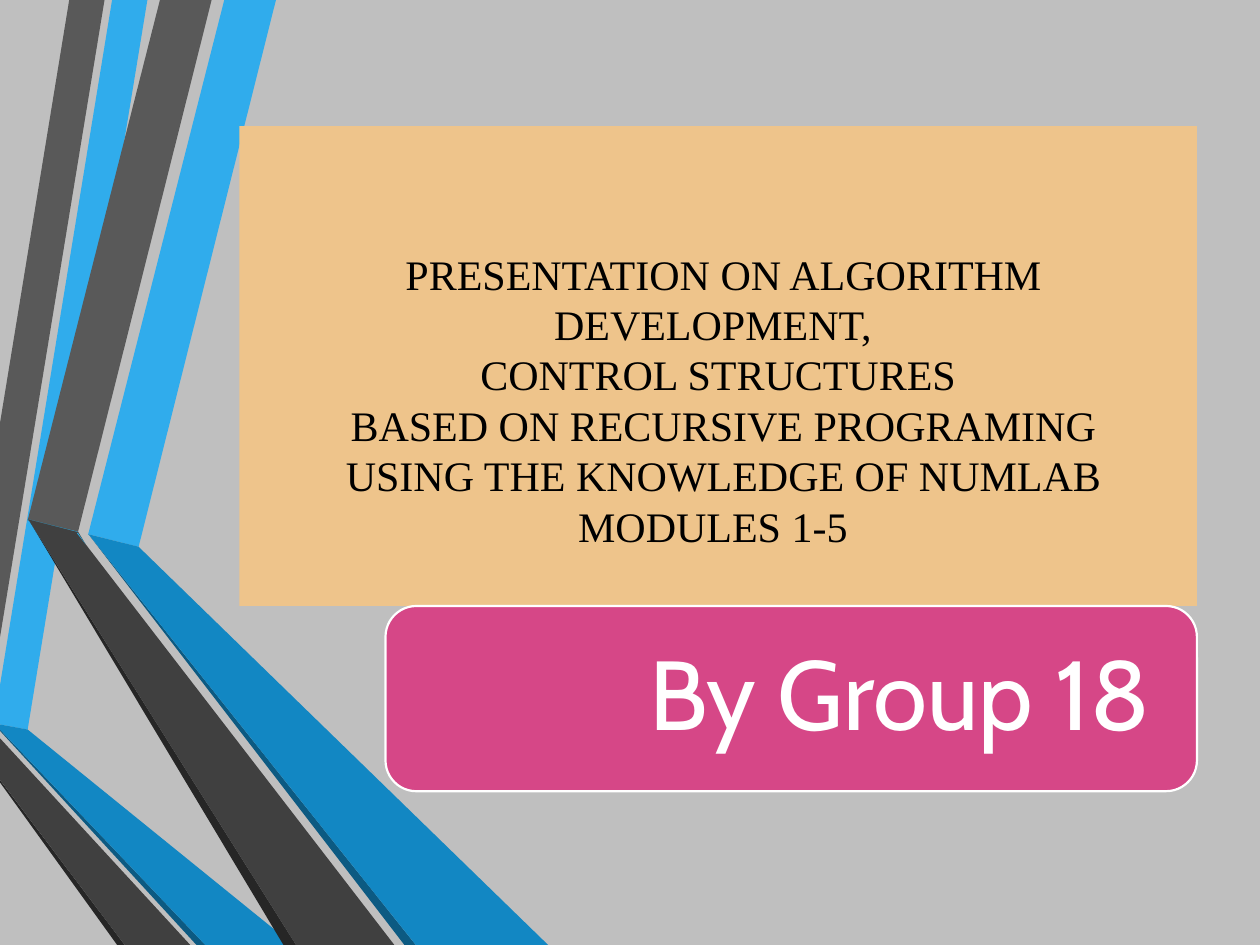
from pptx import Presentation
from pptx.dml.color import RGBColor
from pptx.enum.shapes import MSO_SHAPE as SHAPE
from pptx.enum.text import MSO_ANCHOR as ANCHOR, PP_ALIGN as ALIGN
from pptx.util import Pt

PX = 9144  # EMU per px, 100 px to the inch
W, H = 1000, 750

GREY = RGBColor(0xBF, 0xBF, 0xBF)
SKY = RGBColor(0x30, 0xAC, 0xEC)
BLUE = RGBColor(0x12, 0x87, 0xC3)
NAVY = RGBColor(0x0C, 0x5A, 0x82)
CYAN = RGBColor(0x29, 0xAB, 0xE2)
ASH = RGBColor(0x59, 0x59, 0x59)
CHARCOAL = RGBColor(0x40, 0x40, 0x40)
INK = RGBColor(0x26, 0x26, 0x26)
SAND = RGBColor(0xEE, 0xC4, 0x8B)
PINK = RGBColor(0xD6, 0x47, 0x87)
WHITE = RGBColor(0xFF, 0xFF, 0xFF)
BLACK = RGBColor(0, 0, 0)

# Ribbons relative to the top left of their region, back to front
RIBBONS = [
    # Left pair
    (SKY, [(0, 544), (0, 575), (22, 579), (117, 0), (89, 0)]),
    (ASH, [(83, 0), (55, 0), (0, 336), (0, 506)]),
    (INK, [(0, 619), (0, 621), (93, H), (99, H)]),
    (NAVY, [(0, 579), (0, 580), (156, H), (163, H)]),
    (BLUE, [(0, 579), (163, H), (233, H), (22, 579), (0, 575)]),
    (CHARCOAL, [(0, 619), (99, H), (151, H), (0, 586)]),
    # Right pair
    (SKY, [(70, 424), (110, 434), (219, 0), (178, 0)]),
    (ASH, [(168, 0), (127, 0), (22, 413), (62, 422)]),
    (INK, [(23, 413), (225, H), (235, H)]),
    (NAVY, [(330, H), (71, 425), (321, H)]),
    (BLUE, [(70, 424), (71, 425), (330, H), (435, H), (110, 434)]),
    (CHARCOAL, [(313, H), (68, 432), (62, 422), (22, 412), (23, 413), (235, H)]),
    # Fold edges
    (CYAN, [(62, 422), (22, 412), (61, 422)]),
    (CYAN, [(61, 423), (68, 432), (62, 423)]),
]

TITLE = [
    " PRESENTATION ON ALGORITHM DEVELOPMENT, ",
    "CONTROL STRUCTURES",
    " BASED ON RECURSIVE PROGRAMING",
    " USING THE KNOWLEDGE OF NUMLAB MODULES 1-5 ",
]


def paint(sp, color):
    sp.shadow.inherit = False
    sp.fill.solid()
    sp.fill.fore_color.rgb = color
    sp.line.fill.background()


def add_panel(s, kind, box, color):
    sp = s.shapes.add_shape(kind, *(v * PX for v in box))
    paint(sp, color)
    return sp


def set_text(sp, text, align, anchor, font, size, color, insets):
    tf = sp.text_frame
    tf.word_wrap = True
    tf.vertical_anchor = anchor
    (tf.margin_left, tf.margin_top,
     tf.margin_right, tf.margin_bottom) = (v * PX for v in insets)
    tf.text = text
    for p in tf.paragraphs:
        p.alignment = align
        for r in p.runs:
            r.font.name = font
            r.font.size = Pt(size)
            r.font.color.rgb = color
    return tf


def add_ribbons(s, x, y):
    for color, points in RIBBONS:
        start, *rest = [(x + px, y + py) for px, py in points]
        builder = s.shapes.build_freeform(*start, scale=PX)
        builder.add_line_segments(rest, close=True)
        paint(builder.convert_to_shape(), color)


def add_title(s, box):
    sp = add_panel(s, SHAPE.RECTANGLE, box, SAND)
    set_text(sp, "\v".join(TITLE), ALIGN.CENTER, ANCHOR.BOTTOM,
             "Times New Roman", 24, BLACK, (10, 5, 10, 44))


def add_byline(s, box):
    sp = add_panel(s, SHAPE.ROUNDED_RECTANGLE, box, PINK)
    sp.line.color.rgb = WHITE
    sp.line.width = Pt(1.25)
    tf = set_text(sp, "By Group 18", ALIGN.RIGHT, ANCHOR.MIDDLE,
                  "Cabin", 56, WHITE, (30, 30, 30, 30))
    tf.paragraphs[0].line_spacing = 0.9


def main():
    prs = Presentation()
    prs.slide_width, prs.slide_height = W * PX, H * PX
    s = prs.slides.add_slide(prs.slide_layouts[6])
    s.background.fill.solid()
    s.background.fill.fore_color.rgb = GREY

    add_ribbons(s, 0, 0)
    add_title(s, (190, 100, 760, 381))
    add_byline(s, (306, 481, 644, 147))
    prs.save("out.pptx")


if __name__ == "__main__":
    main()
